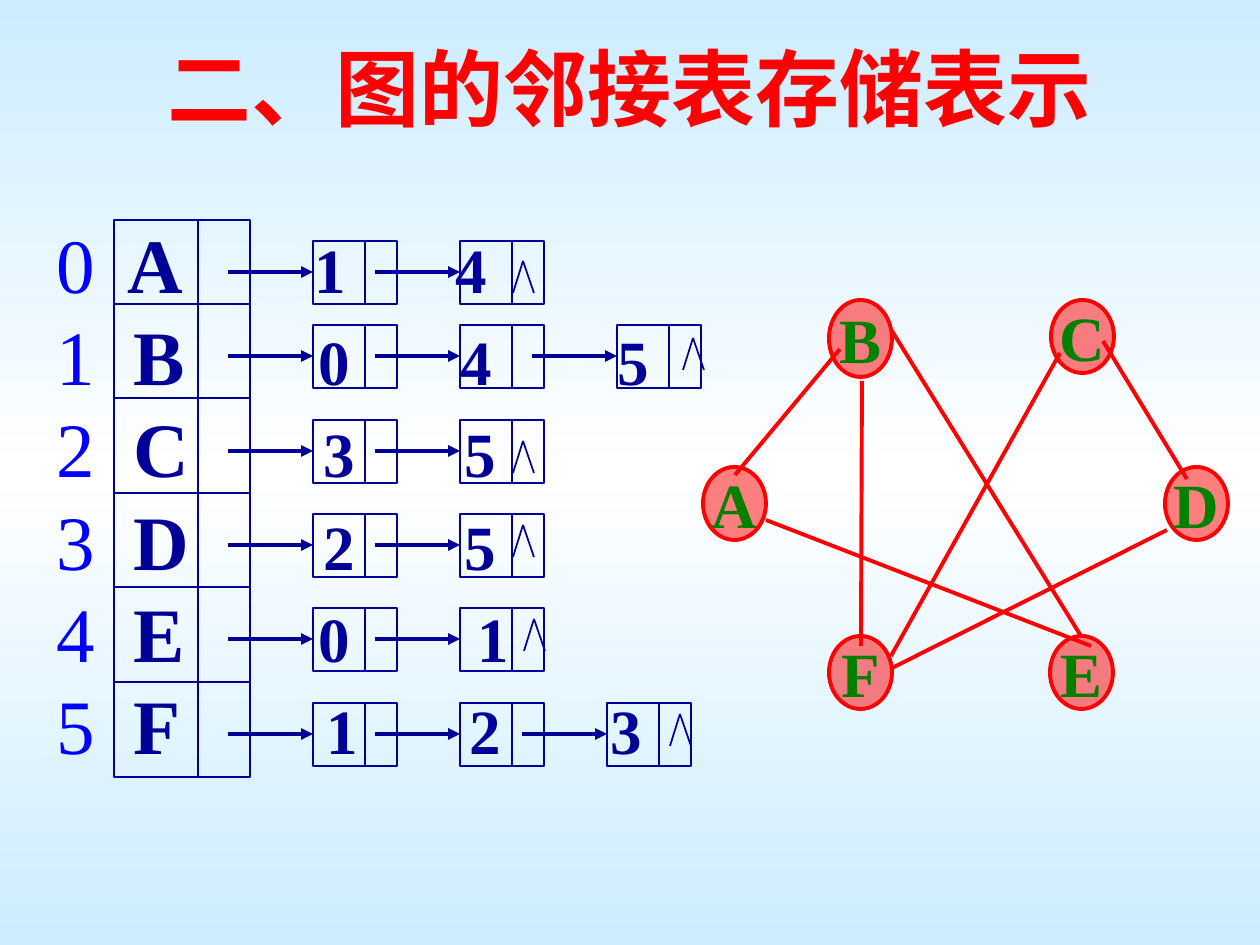
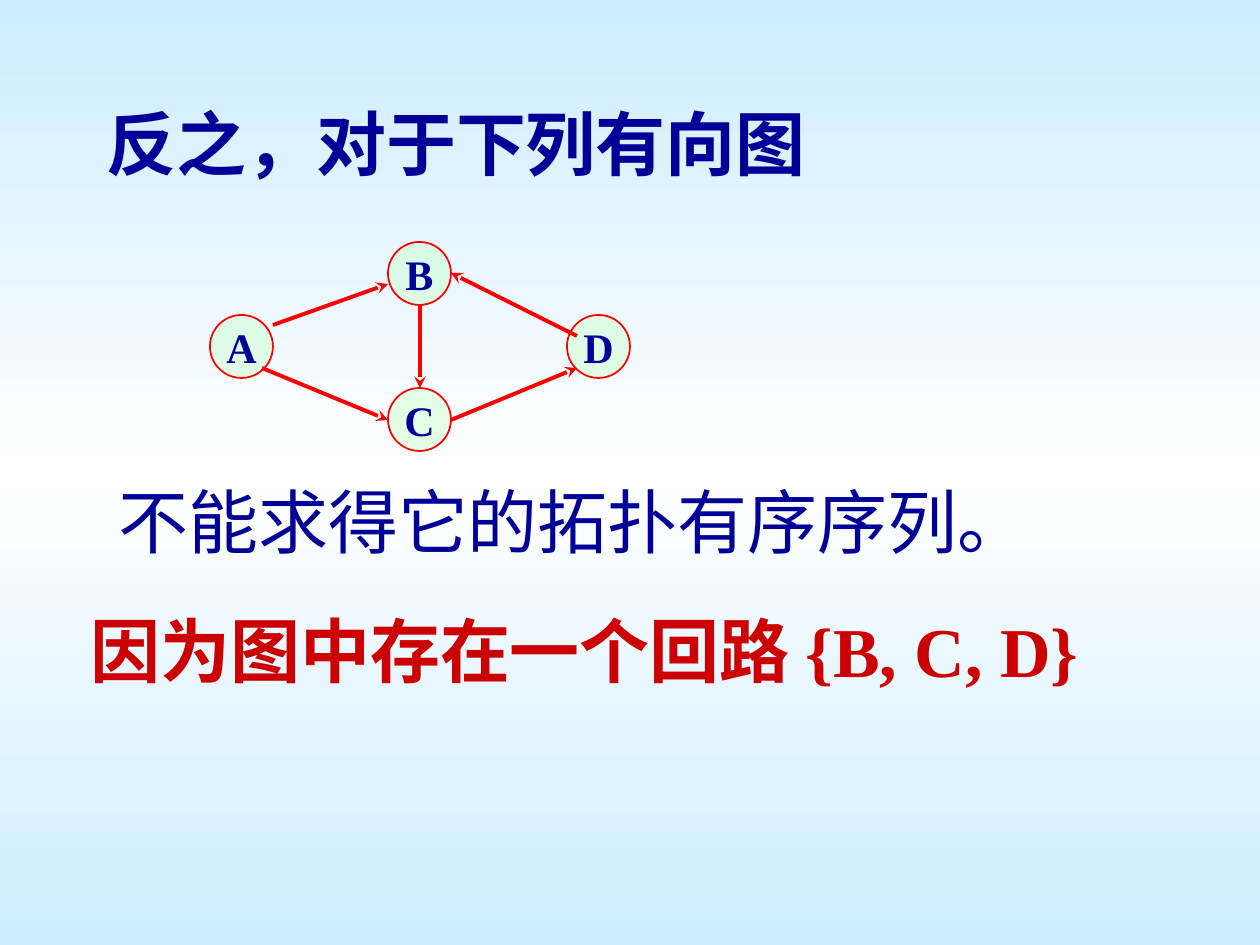
from copy import deepcopy
from dataclasses import dataclass

from lxml.etree import SubElement
from pptx import Presentation
from pptx.dml.color import RGBColor
from pptx.enum.shapes import MSO_CONNECTOR, MSO_SHAPE
from pptx.enum.text import MSO_ANCHOR, MSO_AUTO_SIZE, PP_ALIGN
from pptx.oxml.ns import qn
from pptx.util import Emu, Pt

PX_PER_INCH = 126
FONT = "Times New Roman"
COLORS = {
    "sky": "CCECFF",
    "white": "FFFFFF",
    "navy": "000099",
    "blue": "0000FF",
    "red": "FF0000",
    "dark_red": "CC0000",
    "green": "008000",
    "mint": "CCFFCC",
}


@dataclass
class Vertex:
    label: str
    x: int
    y: int
    w: int = 63
    h: int = 73


@dataclass
class VertexStyle:
    fill: str
    text: str
    size: int
    line: float


@dataclass
class Edge:
    x1: int
    y1: int
    x2: int
    y2: int


@dataclass
class Node:
    value: str
    box_x: int
    text_x: int


@dataclass
class Row:
    label: str
    label_x: int
    nodes: list[Node]
    null_dx: int
    null_dy: int


@dataclass
class Caption:
    text: str
    x: int
    y: int
    w: int
    h: int
    size: int
    color: str
    bold: bool = True
    wrap: bool = True
    align: PP_ALIGN = PP_ALIGN.LEFT
    spacing: float | None = None


TABLE_X, TABLE_Y, TABLE_W, TABLE_H = 114, 220, 136, 557
TABLE_SPLIT = 198
ROW_PITCH = 94.5
DIVIDER_Y = 304
NODE_W, NODE_H, NODE_SPLIT = 84, 63, 52
ARROW_LEN = 85
LIST_X, LIST_Y, LIST_W, LIST_H = 44, 210, 683, 567
TEXT_LEFT = 57
BOX_1, BOX_2, BOX_3, BOX_3_FAR = 313, 460, 607, 617

ROWS = [
    Row("A", 128, [Node("1", BOX_1, 315), Node("4", BOX_2, 456)], 63, 20),
    Row("B", 134, [Node("0", BOX_1, 319), Node("4", BOX_2, 461),
                   Node("5", BOX_3_FAR, 618)], 76, 13),
    Row("C", 134, [Node("3", BOX_1, 324), Node("5", BOX_2, 465)], 63, 21),
    Row("D", 134, [Node("2", BOX_1, 324), Node("5", BOX_2, 465)], 63, 11),
    Row("E", 134, [Node("0", BOX_1, 319), Node("1", BOX_2, 478)], 74, 11),
    Row("F", 134, [Node("1", BOX_1, 327), Node("2", BOX_2, 470),
                   Node("3", BOX_3, 611)], 73, 11),
]

LOWER_VERTICES = [Vertex("B", 829, 300, h=77), Vertex("A", 703, 467)]
UPPER_VERTICES = [
    Vertex("C", 1051, 300),
    Vertex("D", 1165, 467),
    Vertex("F", 829, 636),
    Vertex("E", 1050, 636),
]
GRAPH_EDGES = [
    Edge(840, 349, 735, 475),
    Edge(892, 331, 1081, 636),
    Edge(766, 520, 1091, 646),
    Edge(1060, 353, 891, 656),
    Edge(1103, 341, 1187, 479),
    Edge(1167, 530, 892, 668),
    Edge(862, 381, 861, 646),
]
GRAPH_STYLE = VertexStyle("red", "green", 36, 2.25)

DIGRAPH_VERTICES = [
    Vertex("B", 388, 242, h=63),
    Vertex("D", 567, 315, h=63),
    Vertex("A", 210, 315, h=63),
    Vertex("C", 388, 388, h=63),
]
DIGRAPH_EDGES = [
    Edge(273, 325, 388, 284),
    Edge(262, 368, 388, 420),
    Edge(451, 420, 577, 368),
    Edge(577, 336, 451, 273),
    Edge(420, 305, 420, 388),
]
DIGRAPH_STYLE = VertexStyle("mint", "navy", 24, 1)

TITLE = Caption("二、图的邻接表存储表示", 0, 0, 1260, 144, 48, "red",
                align=PP_ALIGN.CENTER, spacing=1.3)
STATEMENTS = [
    Caption("反之，对于下列有向图", 94, 94, 902, 97, 40, "navy"),
    Caption("不能求得它的拓扑有序序列。", 106, 472, 934, 97, 40, "navy",
            bold=False, wrap=False),
    Caption("因为图中存在一个回路 {B, C, D}", 78, 601, 1029, 97, 40, "dark_red",
            wrap=False),
]


def px(n: float) -> Emu:
    return Emu(round(n * 914400 / PX_PER_INCH))


def rgb(name: str) -> RGBColor:
    return RGBColor.from_string(COLORS[name])


def style_run(r, size: int, color: str, bold: bool = True) -> None:
    r.font.name = FONT
    r.font.size = Pt(size)
    r.font.bold = bold
    r.font.color.rgb = rgb(color)


def set_background(prs) -> None:
    master = prs.slide_master
    fill = master.background.fill
    fill.gradient()
    fill.gradient_angle = 270
    for stop, color, position in zip(fill.gradient_stops, ("sky", "white"), (0, 0.5)):
        stop.color.rgb = rgb(color)
        stop.position = position
    stops = master.element.find(".//" + qn("a:gsLst"))
    last = deepcopy(stops[0])
    last.set("pos", "100000")
    stops.append(last)


def draw_line(s, edge: Edge, color: str, width: float, head: str | None = None) -> None:
    line = s.shapes.add_connector(MSO_CONNECTOR.STRAIGHT, px(edge.x1), px(edge.y1),
                                  px(edge.x2), px(edge.y2))
    line.line.color.rgb = rgb(color)
    line.line.width = Pt(width)
    sp_pr = line._element.spPr
    if head:
        SubElement(sp_pr.find(qn("a:ln")), qn("a:tailEnd"), type=head)
    SubElement(sp_pr, qn("a:effectLst"))


def draw_box(s, x: int, y: int, w: int, h: int) -> None:
    sp = s.shapes.add_shape(MSO_SHAPE.RECTANGLE, px(x), px(y), px(w), px(h))
    sp.shadow.inherit = False
    sp.fill.background()
    sp.line.color.rgb = rgb("navy")
    sp.line.width = Pt(1)


def draw_vertex(s, v: Vertex, style: VertexStyle) -> None:
    sp = s.shapes.add_shape(MSO_SHAPE.OVAL, px(v.x), px(v.y), px(v.w), px(v.h))
    sp.shadow.inherit = False
    sp.fill.solid()
    sp.fill.fore_color.rgb = rgb(style.fill)
    color = sp._element.spPr.find(qn("a:solidFill"))[0]
    SubElement(color, qn("a:alpha"), val="50000")
    sp.line.color.rgb = rgb("red")
    sp.line.width = Pt(style.line)
    tf = sp.text_frame
    tf.text = v.label
    tf.word_wrap = False
    tf.vertical_anchor = MSO_ANCHOR.MIDDLE
    p = tf.paragraphs[0]
    p.alignment = PP_ALIGN.CENTER
    style_run(p.runs[0], style.size, style.text)


def add_frame(s, x: int, y: int, w: int, h: int, wrap: bool = True):
    tf = s.shapes.add_textbox(px(x), px(y), px(w), px(h)).text_frame
    tf.word_wrap = wrap
    tf.auto_size = MSO_AUTO_SIZE.SHAPE_TO_FIT_TEXT
    return tf


def draw_caption(s, c: Caption) -> None:
    tf = add_frame(s, c.x, c.y, c.w, c.h, c.wrap)
    tf.text = c.text
    p = tf.paragraphs[0]
    p.alignment = c.align
    p.line_spacing = c.spacing
    style_run(p.runs[0], c.size, c.color, c.bold)


def write_list(s) -> None:
    tf = add_frame(s, LIST_X, LIST_Y, LIST_W, LIST_H)
    for i, row in enumerate(ROWS):
        p = tf.paragraphs[0] if i == 0 else tf.add_paragraph()
        tabs = SubElement(p._p.get_or_add_pPr(), qn("a:tabLst"))
        for x in [row.label_x] + [node.text_x for node in row.nodes]:
            SubElement(tabs, qn("a:tab"), pos=str(px(x - TEXT_LEFT)), algn="l")
        values = "\t".join(node.value for node in row.nodes)
        for text, size, color, bold in (
            (str(i), 44, "blue", False),
            (f"\t{row.label}\t", 44, "navy", True),
            (values, 36, "navy", True),
        ):
            r = p.add_run()
            r.text = text
            style_run(r, size, color, bold)


def draw_table(s) -> None:
    draw_box(s, TABLE_X, TABLE_Y, TABLE_W, TABLE_H)
    for i in range(len(ROWS) - 1):
        y = int(DIVIDER_Y + i * ROW_PITCH)
        draw_line(s, Edge(TABLE_X, y, TABLE_X + TABLE_W, y), "navy", 1)
    draw_line(s, Edge(TABLE_SPLIT, TABLE_Y, TABLE_SPLIT, TABLE_Y + TABLE_H), "navy", 1)


def draw_chain(s, row: Row, top: int) -> None:
    middle = top + NODE_H // 2
    for node in row.nodes:
        x = node.box_x
        draw_box(s, x, top, NODE_W, NODE_H)
        split = x + NODE_SPLIT
        draw_line(s, Edge(split, top, split, top + NODE_H), "navy", 1)
        draw_line(s, Edge(x - ARROW_LEN, middle, x, middle), "navy", 2.25, "triangle")
    apex_x = row.nodes[-1].box_x + row.null_dx
    apex_y = top + row.null_dy
    for dx in (-10, 11):
        draw_line(s, Edge(apex_x, apex_y, apex_x + dx, apex_y + 32), "navy", 1)


def adjacency_slide(s) -> None:
    write_list(s)
    draw_table(s)
    for i, row in enumerate(ROWS):
        top = 241 if i == 0 else round(325 + (i - 1) * ROW_PITCH)
        draw_chain(s, row, top)
    for v in LOWER_VERTICES:
        draw_vertex(s, v, GRAPH_STYLE)
    for edge in GRAPH_EDGES:
        draw_line(s, edge, "red", 2.25)
    for v in UPPER_VERTICES:
        draw_vertex(s, v, GRAPH_STYLE)
    draw_caption(s, TITLE)


def cycle_slide(s) -> None:
    for v in DIGRAPH_VERTICES:
        draw_vertex(s, v, DIGRAPH_STYLE)
    for edge in DIGRAPH_EDGES:
        draw_line(s, edge, "red", 2.25, "stealth")
    for c in STATEMENTS:
        draw_caption(s, c)


def main() -> None:
    prs = Presentation()
    prs.slide_width, prs.slide_height = px(1260), px(945)
    set_background(prs)
    for build in (adjacency_slide, cycle_slide):
        build(prs.slides.add_slide(prs.slide_layouts[6]))
    prs.save("out.pptx")


if __name__ == "__main__":
    main()
